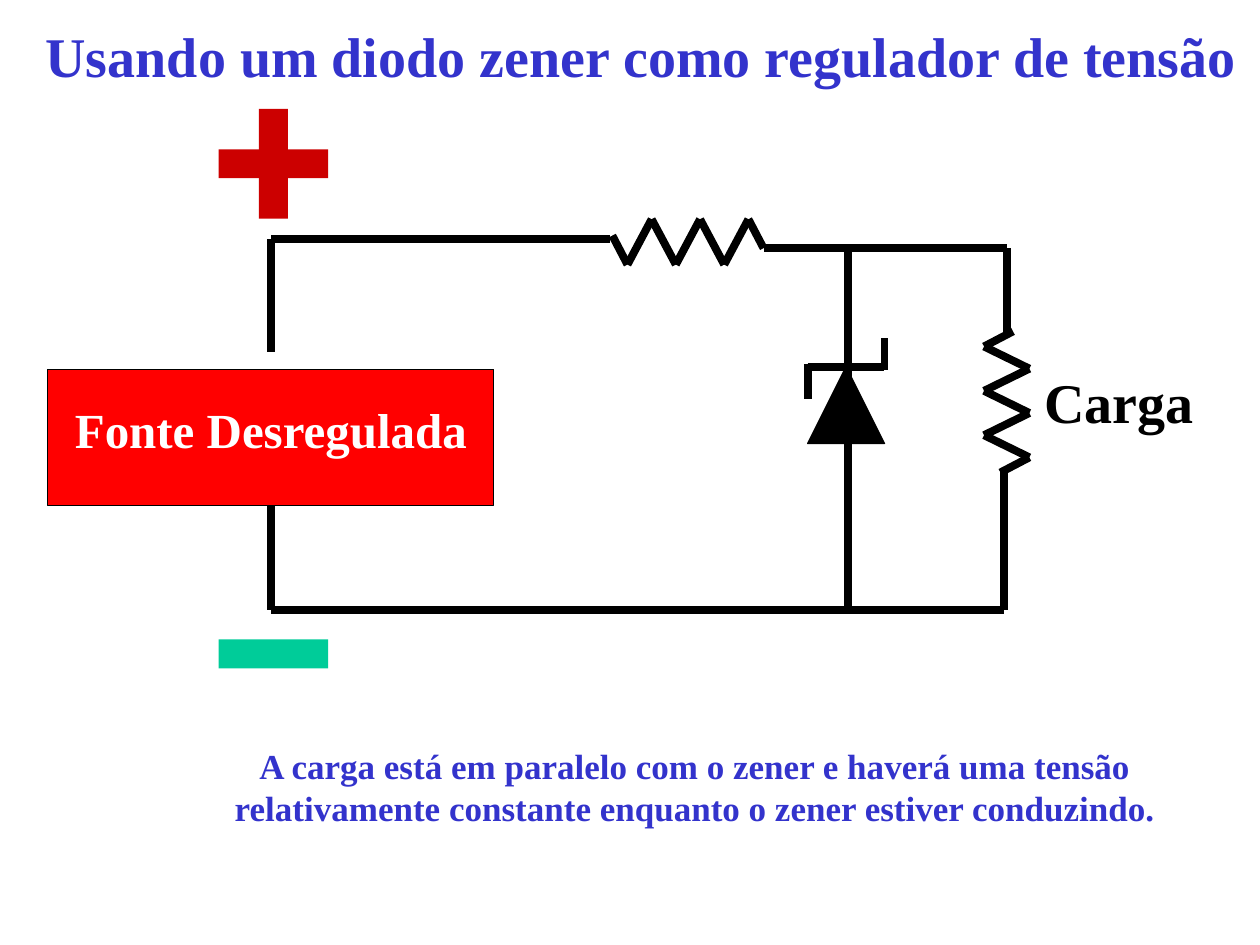
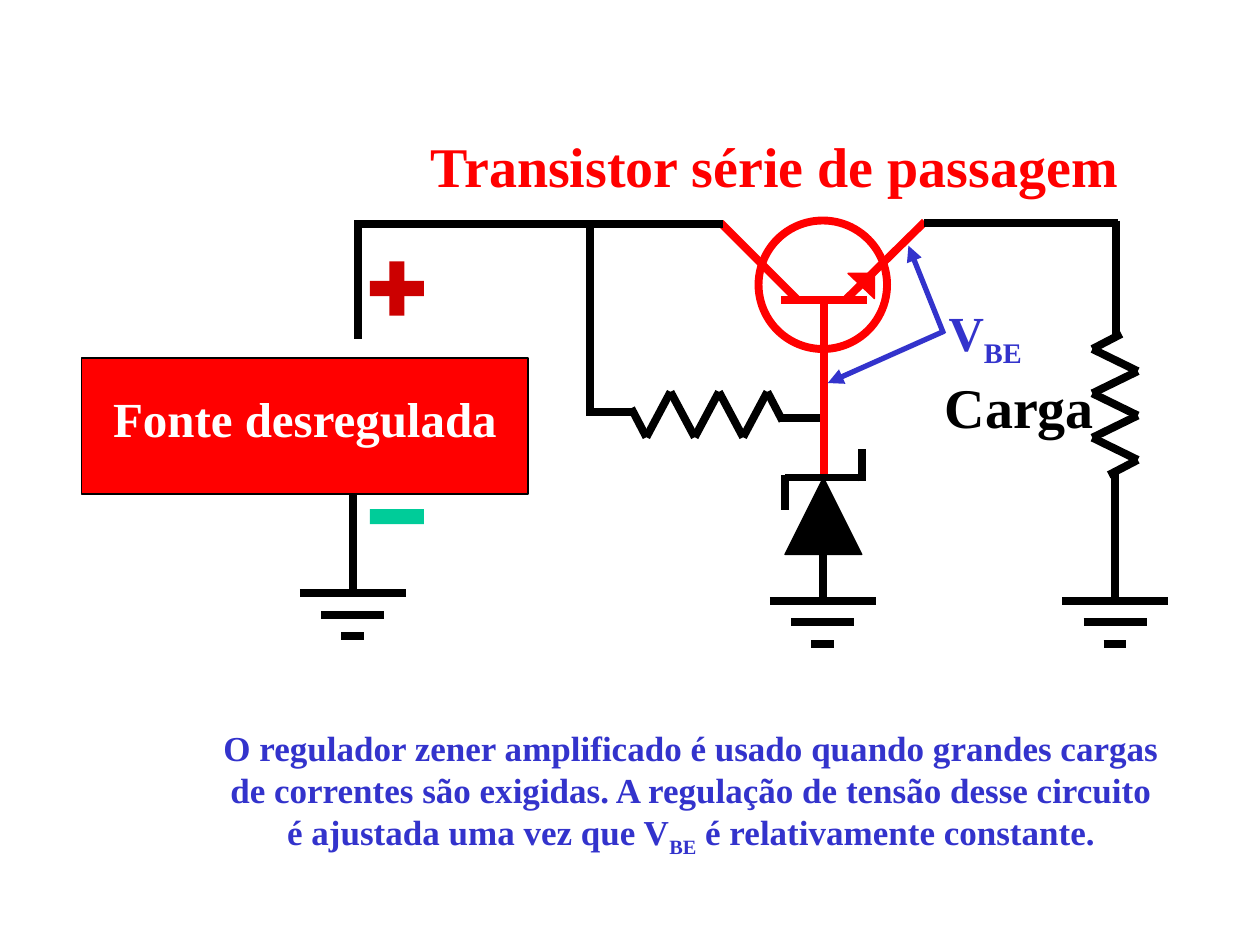
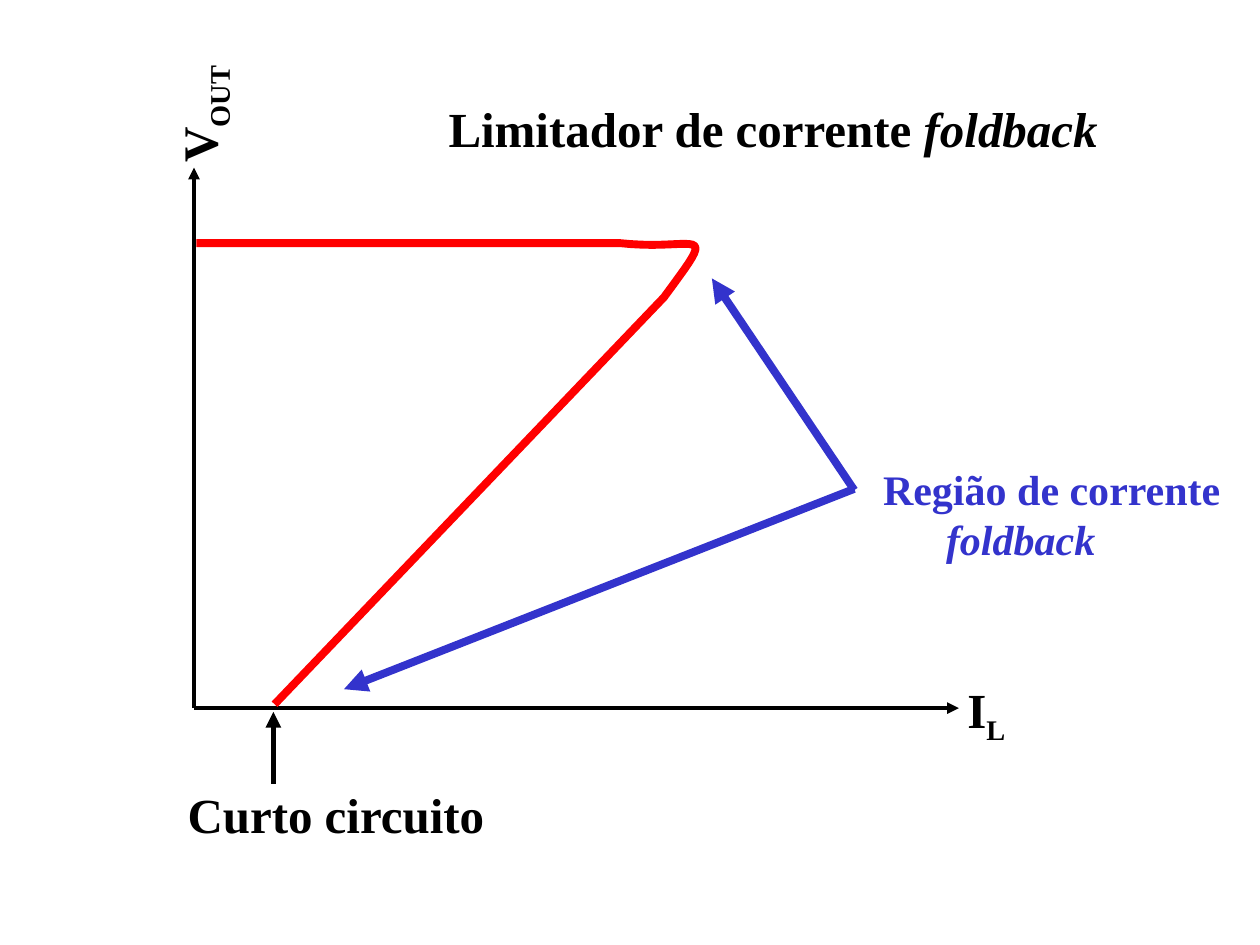
import dataclasses
import itertools

import pptx
import pptx.dml.color
import pptx.enum.shapes
import pptx.enum.text
import pptx.oxml
import pptx.oxml.ns
import pptx.util

Inches = pptx.util.Inches
Shape = pptx.enum.shapes.MSO_SHAPE
Align = pptx.enum.text.PP_ALIGN
Anchor = pptx.enum.text.MSO_ANCHOR


@dataclasses.dataclass(frozen=True)
class Theme:
    font: str = "Times New Roman"
    black: str = "000000"
    white: str = "FFFFFF"
    blue: str = "3333CC"
    red: str = "FF0000"
    plus: str = "CC0000"
    minus: str = "00CC99"
    heading: int = 32
    label: int = 28
    note: int = 24
    caption: int = 20
    wire: float = 4.5
    pointer: float = 3
    axis: float = 2.25
    outline: float = 0.75


THEME = Theme()


def rgb(color):
    return pptx.dml.color.RGBColor.from_string(color)


def apply(target, values):
    for name, value in values.items():
        setattr(target, name, value)


def shift(left, top, points):
    return [(left + x, top + y) for x, y in points]


def write(frame, lines, size, color, align=Align.LEFT, anchor=Anchor.TOP, indents=()):
    """Fill a frame; each line is a list of (text, style), style being "", "sub" or "italic"."""
    apply(frame, {
        "word_wrap": False,
        "auto_size": pptx.enum.text.MSO_AUTO_SIZE.SHAPE_TO_FIT_TEXT,
        "vertical_anchor": anchor,
    })
    for number, (line, indent) in enumerate(itertools.zip_longest(lines, indents, fillvalue=0)):
        para = frame.add_paragraph() if number else frame.paragraphs[0]
        para.alignment = align
        if indent:
            para._p.get_or_add_pPr().set("marL", str(Inches(indent)))
        for text, style in line:
            span = para.add_run()
            span.text = text
            apply(span.font, {
                "name": THEME.font,
                "size": pptx.util.Pt(size),
                "bold": True,
                "italic": style == "italic",
            })
            span.font.color.rgb = rgb(color)
            if style == "sub":
                span._r.get_or_add_rPr().set("baseline", "-25000")


def text_box(page, area, lines, size, color, rotation=0, **layout):
    box = page.shapes.add_textbox(*map(Inches, area))
    box.rotation = rotation
    write(box.text_frame, lines, size, color, **layout)


def title(page, area, line, size, color, **layout):
    box = page.shapes.title
    apply(box, dict(zip(("left", "top", "width", "height"), map(Inches, area))))
    write(box.text_frame, [line], size, color, **layout)


def caption(page, area, lines):
    text_box(page, area, lines, THEME.caption, THEME.blue, align=Align.CENTER)


def paint(shape, fill=None, line=None, width=THEME.outline):
    shape.shadow.inherit = False
    for part, color in ((shape.fill, fill), (shape.line.fill, line)):
        if color:
            part.solid()
            part.fore_color.rgb = rgb(color)
        else:
            part.background()
    if line:
        shape.line.width = pptx.util.Pt(width)


def block(page, kind, area, **colors):
    shape = page.shapes.add_shape(kind, *map(Inches, area))
    paint(shape, **colors)
    return shape


def outline(page, points, close=False, **colors):
    start, *others = [tuple(map(Inches, point)) for point in points]
    builder = page.shapes.build_freeform(*start)
    builder.add_line_segments(others, close=close)
    paint(builder.convert_to_shape(), **colors)


def wire(page, points, color=THEME.black, width=THEME.wire, arrow=False):
    """Join consecutive points with straight lines."""
    for start, end in itertools.pairwise(points):
        line = page.shapes.add_connector(
            pptx.enum.shapes.MSO_CONNECTOR.STRAIGHT, *map(Inches, start + end))
        line.line.color.rgb = rgb(color)
        line.line.width = pptx.util.Pt(width)
        properties = line._element.spPr
        if arrow:
            head = pptx.oxml.parse_xml(
                f'<a:tailEnd {pptx.oxml.ns.nsdecls("a")} type="triangle"/>')
            line.line._get_or_add_ln().append(head)
        properties.append(pptx.oxml.parse_xml(
            f'<a:effectLst {pptx.oxml.ns.nsdecls("a")}/>'))


def resistor(page, left, top, length, upright=False):
    depth, lead, turns = 0.36, 0.12, 6
    pitch = (length - 2 * lead) / (turns - 1)
    along = [0, *(lead + pitch * turn for turn in range(turns)), length]
    across = [0.13, *(depth * (turn % 2 == 0) for turn in range(turns)), 0.23]
    points = list(zip(along, across))
    if upright:
        points = [(depth - y, x) for x, y in points]
    wire(page, shift(left, top, points))


def zener(page, left, top):
    side, hook = 0.61, 0.26
    block(page, Shape.ISOSCELES_TRIANGLE, (left, top, side, side),
          fill=THEME.black, line=THEME.black)
    for points in ([(0, 0), (side, 0)],
                   [(0, -0.02), (0, hook)],
                   [(side, 0.03), (side, -hook + 0.03)]):
        wire(page, shift(left, top, points))


def ground(page, center, top):
    for step, half in enumerate((0.42, 0.25, 0.09)):
        level = top + 0.17 * step
        wire(page, [(center - half, level), (center + half, level)])


def transistor(page, left, top):
    red = THEME.red
    for points in ([(0.48, 0.62), (1.16, 0.62)],
                   [(1, 0.61), (1.62, 0)],
                   [(0.62, 0.63), (0, 0.01)],
                   [(0.82, 0.63), (0.82, 2.02)]):
        wire(page, shift(left, top, points), red)
    outline(page, shift(left, top, [(1.01, 0.41), (1.22, 0.41), (1.22, 0.61)]),
            close=True, fill=red, line=red)
    block(page, Shape.OVAL, (left + 0.3, top - 0.01, 1.02, 1.02), line=red, width=THEME.wire)


def polarity(page, center, middle, length, thickness, positive):
    sizes = [(length, thickness), (thickness, length)] if positive else [(length, thickness)]
    for width, height in sizes:
        block(page, Shape.RECTANGLE,
              (center - width / 2, middle - height / 2, width, height),
              fill=THEME.plus if positive else THEME.minus)


def supply(page, left, top, text):
    box = block(page, Shape.RECTANGLE, (left, top, 3.54, 1.08),
                fill=THEME.red, line=THEME.black)
    write(box.text_frame, [[(text, "")]], THEME.label, THEME.white,
          align=Align.CENTER, anchor=Anchor.MIDDLE)
    apply(box.text_frame, {
        "auto_size": pptx.enum.text.MSO_AUTO_SIZE.NONE,
        "margin_bottom": Inches(0.18),
    })


def load_label(page, left, top):
    text_box(page, (left, top, 1.6, 0.64), [[("Carga", "")]],
             THEME.heading, THEME.black, align=Align.CENTER)


def zener_regulator(page):
    title(page, (0.25, 0.12, 9.68, 0.64),
          [("Usando um diodo zener como regulador de tensão", "")],
          THEME.heading, THEME.blue, align=Align.CENTER, anchor=Anchor.MIDDLE)
    for points in ([(4.84, 1.9), (2.15, 1.9), (2.15, 2.79)],
                   [(2.15, 3.9), (2.15, 4.84), (7.97, 4.84), (7.97, 3.74)],
                   [(6.06, 1.97), (7.99, 1.97), (7.99, 2.66)],
                   [(6.73, 1.97), (6.73, 4.84)]):
        wire(page, points)
    zener(page, 6.41, 2.91)
    resistor(page, 4.86, 1.74, 1.2)
    resistor(page, 7.81, 2.63, 1.12, upright=True)
    load_label(page, 8.08, 2.87)
    polarity(page, 2.17, 1.3, 0.87, 0.23, positive=True)
    polarity(page, 2.17, 5.19, 0.87, 0.23, positive=False)
    supply(page, 0.38, 2.93, "Fonte Desregulada")
    caption(page, (1.72, 5.86, 7.59, 0.77), [
        [("A carga está em paralelo com o zener e haverá uma tensão", "")],
        [("relativamente constante enquanto o zener estiver conduzindo.", "")],
    ])


def base_emitter_pointer(page, left, top):
    text_box(page, (left, top, 0.78, 0.63), [[("V", ""), ("BE", "sub")]],
             THEME.label, THEME.blue)
    for points in ([(0.06, 0.28), (-0.86, 0.69)], [(0.06, 0.3), (-0.22, -0.4)]):
        wire(page, shift(left, top, points), THEME.blue, THEME.pointer, arrow=True)


def amplified_regulator(page):
    title(page, (3.32, 0.99, 5.7, 0.64), [("Transistor série de passagem", "")],
          THEME.heading, THEME.red)
    transistor(page, 5.72, 1.76)
    for points in ([(5.74, 1.78), (2.81, 1.78)],
                   [(2.84, 1.78), (2.84, 2.69)],
                   [(4.68, 1.76), (4.68, 3.3)],
                   [(4.67, 3.27), (5.03, 3.27)],
                   [(6.19, 3.32), (6.51, 3.32)],
                   [(7.33, 1.77), (8.87, 1.77)],
                   [(8.86, 1.75), (8.86, 2.67)],
                   [(2.8, 3.91), (2.8, 4.74)],
                   [(6.53, 4.18), (6.53, 4.8)],
                   [(8.85, 3.75), (8.85, 4.76)]):
        wire(page, points)
    zener(page, 6.23, 3.79)
    resistor(page, 5.01, 3.11, 1.2)
    resistor(page, 8.67, 2.65, 1.12, upright=True)
    for center, top in ((2.8, 4.71), (6.53, 4.77), (8.85, 4.77)):
        ground(page, center, top)
    load_label(page, 7.29, 2.91)
    supply(page, 0.65, 2.84, "Fonte desregulada")
    base_emitter_pointer(page, 7.43, 2.35)
    polarity(page, 3.15, 2.29, 0.43, 0.12, positive=True)
    polarity(page, 3.15, 4.1, 0.43, 0.12, positive=False)
    caption(page, (1.63, 5.72, 7.71, 1.15), [
        [("O regulador zener amplificado é usado quando grandes cargas", "")],
        [("de correntes são exigidas. A regulação de tensão desse circuito", "")],
        [("é ajustada uma vez que V", ""), ("BE", "sub"),
         (" é relativamente constante.", "")],
    ])


def bezier(start, first, second, end, steps=20):
    """Points of a cubic curve, both ends included."""
    for step in range(steps + 1):
        t = step / steps
        weights = ((1 - t) ** 3, 3 * t * (1 - t) ** 2, 3 * t * t * (1 - t), t ** 3)
        yield tuple(sum(weight * value for weight, value in zip(weights, values))
                    for values in zip(start, first, second, end))


def foldback_plot(page, left, top):
    """Axes and curve; left and top are the tip of the vertical axis."""
    height, width = 4.29, 6.07
    for tip in ((0, 0), (width, height)):
        wire(page, shift(left, top, [(0, height), tip]),
             width=THEME.axis, arrow=True)
    knee = bezier((3.38, 0.6), (4, 0.67), (4.18, 0.42), (3.73, 1.03))
    outline(page, shift(left, top, [(0.02, 0.6), *knee, (0.64, 4.26)]),
            line=THEME.red, width=THEME.wire)
    wire(page, shift(left, top, [(0.63, 4.89), (0.63, 4.32)]),
         width=THEME.pointer, arrow=True)
    for x, y, box_width, box_height, line, rotation in (
            (-0.42, -0.74, 0.97, 0.63, [("V", ""), ("OUT", "sub")], 270),
            (6.04, 4.01, 0.5, 0.63, [("I", ""), ("L", "sub")], 0),
            (-0.15, 4.85, 2.56, 0.57, [("Curto circuito", "")], 0)):
        text_box(page, (left + x, top + y, box_width, box_height), [line],
                 THEME.label, THEME.black, rotation=rotation)


def foldback_region(page, left, top):
    text_box(page, (left, top, 2.88, 0.9),
             [[("Região de corrente", "")], [("foldback", "italic")]],
             THEME.note, THEME.blue, indents=(0, 0.5))
    for points in ([(-0.13, 0.26), (-1.26, -1.42)], [(-0.13, 0.25), (-4.18, 1.84)]):
        wire(page, shift(left, top, points), THEME.blue, arrow=True)


def foldback_limiter(page):
    title(page, (3.46, 0.73, 5.46, 0.57),
          [("Limitador de corrente ", ""), ("foldback", "italic")],
          THEME.label, THEME.black)
    foldback_plot(page, 1.54, 1.33)
    foldback_region(page, 6.91, 3.63)


def main():
    deck = pptx.Presentation()
    apply(deck, {"slide_width": Inches(10), "slide_height": Inches(7.5)})
    title_only = deck.slide_layouts[5]
    for build in (zener_regulator, amplified_regulator, foldback_limiter):
        build(deck.slides.add_slide(title_only))
    deck.save("out.pptx")


if __name__ == "__main__":
    main()
